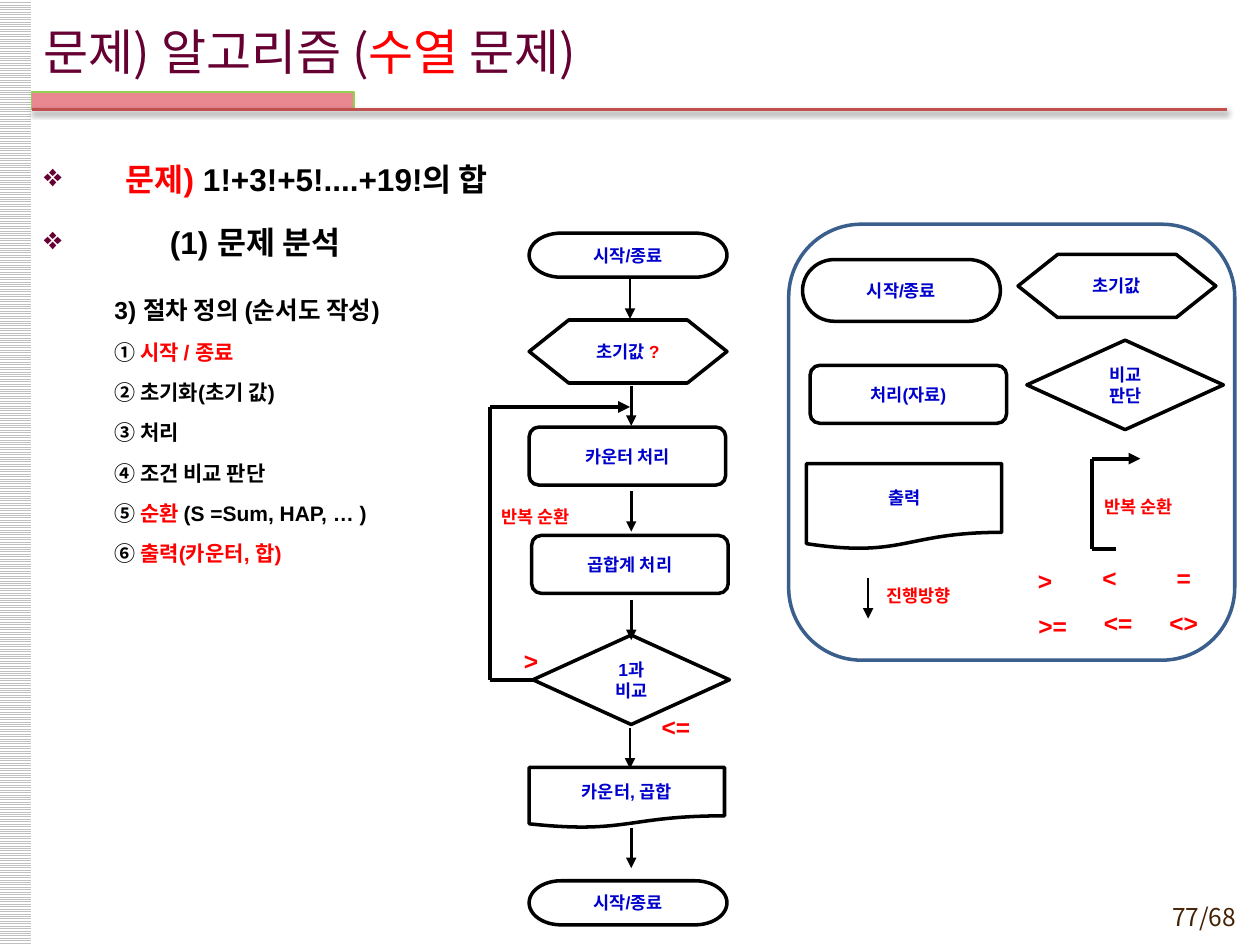
from dataclasses import dataclass
from typing import NamedTuple

from lxml.etree import SubElement
from pptx import Presentation
from pptx.dml.color import RGBColor
from pptx.enum.dml import MSO_PATTERN
from pptx.enum.shapes import MSO_CONNECTOR, MSO_SHAPE as Preset
from pptx.enum.text import MSO_ANCHOR as Anchor, PP_ALIGN as Align
from pptx.oxml.ns import qn
from pptx.util import Inches, Pt


@dataclass(frozen=True)
class Theme:
    latin: str = "Arial"
    korean: str = "Noto Sans CJK KR"
    black: str = "000000"
    white: str = "FFFFFF"
    red: str = "FF0000"
    blue: str = "0000CC"
    plum: str = "660033"
    brown: str = "452103"
    stripe: str = "C0C0C0"
    pink: str = "EA8892"
    green: str = "92D050"
    rule: str = "C0504D"
    panel: str = "3A5F8C"
    title: int = 28
    heading: int = 18
    sign: int = 14
    item: int = 12
    node: int = 10
    outline: float = 2
    arrow: float = 1.5
    loop: float = 2.25


T = Theme()


class Run(NamedTuple):
    text: str
    color: str = T.black


class Para(NamedTuple):
    runs: list[Run]
    size: int
    bullet_indent: float = 0
    before: float = 0


class Node(NamedTuple):
    preset: Preset
    left: float
    top: float
    width: float
    height: float
    lines: list[list[Run]]


class Line(NamedTuple):
    x1: float
    y1: float
    x2: float
    y2: float
    weight: float = T.arrow
    arrow: bool = True


def rgb(color: str) -> RGBColor:
    return RGBColor.from_string(color)


def add_bullet(paragraph, indent: float) -> None:
    props = paragraph._p.get_or_add_pPr()
    props.set("marL", str(Inches(indent)))
    props.set("indent", str(-Inches(indent)))
    SubElement(SubElement(props, qn("a:buClr")), qn("a:srgbClr"), val=T.plum)
    SubElement(props, qn("a:buChar"), char="❖")


def write(frame, paras: list[Para], font: str = T.latin, bold: bool = True,
          anchor=Anchor.TOP, **layout) -> None:
    frame.word_wrap = True
    frame.vertical_anchor = anchor
    for index, para in enumerate(paras):
        paragraph = frame.paragraphs[0] if index == 0 else frame.add_paragraph()
        for key, value in layout.items():
            setattr(paragraph, key, value)
        if para.before:
            paragraph.space_before = Pt(para.before)
        if para.bullet_indent:
            add_bullet(paragraph, para.bullet_indent)
        for part in para.runs:
            run = paragraph.add_run()
            run.text = part.text
            look = {"name": font, "size": Pt(para.size), "bold": bold}
            for key, value in look.items():
                setattr(run.font, key, value)
            run.font.color.rgb = rgb(part.color)
            SubElement(run._r.get_or_add_rPr(), qn("a:ea"), typeface=T.korean)


def add_text(slide, left: float, top: float, width: float, height: float,
             paras: list[Para], **look) -> None:
    box = slide.shapes.add_textbox(*map(Inches, (left, top, width, height)))
    write(box.text_frame, paras, **look)


def add_outline(slide, preset: Preset, left: float, top: float, width: float,
                height: float, color: str, weight: float):
    shape = slide.shapes.add_shape(preset, *map(Inches, (left, top, width, height)))
    shape.shadow.inherit = False
    shape.fill.background()
    shape.line.color.rgb = rgb(color)
    shape.line.width = Pt(weight)
    return shape


def add_node(slide, node: Node) -> None:
    shape = add_outline(slide, *node[:5], T.black, T.outline)
    write(shape.text_frame, [Para(runs, T.node) for runs in node.lines],
          anchor=Anchor.MIDDLE, alignment=Align.CENTER)


def add_line(slide, line: Line, color: str = T.black):
    connector = slide.shapes.add_connector(
        MSO_CONNECTOR.STRAIGHT, *map(Inches, line[:4]))
    connector.line.color.rgb = rgb(color)
    connector.line.width = Pt(line.weight)
    if line.arrow:
        SubElement(connector.line._get_or_add_ln(), qn("a:tailEnd"), type="triangle")
    return SubElement(connector._element.spPr, qn("a:effectLst"))


def add_loop(slide, left: float, top: float, bottom: float,
             top_end: float, bottom_end: float) -> None:
    add_line(slide, Line(left, top, top_end, top, T.loop))
    add_line(slide, Line(left, top, left, bottom, T.loop, False))
    add_line(slide, Line(left, bottom, bottom_end, bottom, T.loop, False))


def add_frame(slide) -> None:
    # Striped left edge
    edge = add_outline(slide, Preset.RECTANGLE, -0.01, 0, 0.26, 7.5, T.white, 0)
    edge.line.fill.background()
    edge.fill.patterned()
    edge.fill.pattern = MSO_PATTERN.LIGHT_HORIZONTAL
    edge.fill.fore_color.rgb = rgb(T.stripe)
    edge.fill.back_color.rgb = rgb(T.white)
    # Title tab and shadowed rule
    tab = add_outline(slide, Preset.RECTANGLE, 0.25, 0.73, 2.56, 0.14, T.green, 0.75)
    tab.fill.solid()
    tab.fill.fore_color.rgb = rgb(T.pink)
    effects = add_line(slide, Line(0.25, 0.87, 9.74, 0.87, T.outline, False), T.rule)
    shadow = SubElement(effects, qn("a:outerShdw"), blurRad=str(Pt(3.1)),
                        dist=str(Pt(1.6)), dir="5400000", rotWithShape="0")
    shade = SubElement(shadow, qn("a:srgbClr"), val=T.black)
    SubElement(shade, qn("a:alpha"), val="38000")
    # Page number
    add_text(slide, 9.08, 7.13, 0.83, 0.29, [Para([Run("77/68", T.brown)], T.sign)],
             font=T.korean, bold=False, anchor=Anchor.MIDDLE, alignment=Align.RIGHT)


def label(text: str) -> list[list[Run]]:
    return [[Run(line, T.blue)] for line in text.split("\n")]


TITLE = [Run("문제) 알고리즘 (", T.plum), Run("수열", T.red), Run(" 문제)", T.plum)]
HEADINGS = [
    Para([Run("문제) ", T.red), Run("1!+3!+5!....+19!의 합")], T.heading, 0.65),
    Para([Run("(1) 문제 분석")], T.heading, 1, 3.6),
]
STEPS = [
    [Run("① "), Run("시작 / 종료", T.red)],
    [Run("② 초기화(초기 값)")],
    [Run("③ 처리")],
    [Run("④ 조건 비교 판단")],
    [Run("⑤ "), Run("순환", T.red), Run(" (S =Sum, HAP, … )")],
    [Run("⑥ "), Run("출력(카운터, 합)", T.red)],
]
FLOW = [
    Node(Preset.FLOWCHART_TERMINATOR, 4.2, 1.85, 1.57, 0.35, label("시작/종료")),
    Node(Preset.FLOWCHART_PREPARATION, 4.2, 2.54, 1.57, 0.5,
         [[Run("초기값 ", T.blue), Run("?", T.red)]]),
    Node(Preset.FLOWCHART_ALTERNATE_PROCESS, 4.2, 3.39, 1.56, 0.46, label("카운터 처리")),
    Node(Preset.FLOWCHART_ALTERNATE_PROCESS, 4.22, 4.25, 1.56, 0.46, label("곱합계 처리")),
    Node(Preset.FLOWCHART_DECISION, 4.23, 5.04, 1.56, 0.71, label("1과\n비교")),
    Node(Preset.FLOWCHART_DOCUMENT, 4.2, 6.09, 1.55, 0.48, label("카운터, 곱합")),
    Node(Preset.FLOWCHART_TERMINATOR, 4.2, 6.99, 1.57, 0.35, label("시작/종료")),
]
LEGEND = [
    Node(Preset.FLOWCHART_TERMINATOR, 6.37, 2.06, 1.57, 0.49, label("시작/종료")),
    Node(Preset.FLOWCHART_PREPARATION, 8.08, 2.02, 1.57, 0.5, label("초기값")),
    Node(Preset.FLOWCHART_ALTERNATE_PROCESS, 6.43, 2.9, 1.56, 0.46, label("처리(자료)")),
    Node(Preset.FLOWCHART_DECISION, 8.15, 2.7, 1.56, 0.71, label("비교\n판단")),
    Node(Preset.FLOWCHART_DOCUMENT, 6.4, 3.68, 1.55, 0.68, label("출력")),
]
ARROWS = [(5, 2.21), (5.01, 3.06), (5.01, 3.9), (5.01, 4.76), (5, 5.78),
          (5.01, 6.57), (6.89, 4.59)]
ARROW_LENGTH = 0.32
SIGNS = [("<", 8.49, 4.42), ("<=", 8.56, 4.78), ("=", 9.08, 4.42), ("<>", 9.08, 4.78),
         (">=", 8.04, 4.8), (">", 7.98, 4.44), (">", 3.9, 5.08), ("<=", 5.05, 5.6)]
CAPTIONS = [("반복 순환", 8.67, 3.89), ("진행방향", 6.94, 4.59), ("반복 순환", 3.88, 3.97)]


def main() -> None:
    deck = Presentation()
    deck.slide_width, deck.slide_height = Inches(10), Inches(7.5)
    slide = deck.slides.add_slide(deck.slide_layouts[6])
    add_frame(slide)

    # Title, headings and list of steps
    add_text(slide, 0.25, 1.07, 8.61, 1, HEADINGS, line_spacing=1.5)
    add_text(slide, 0.25, 0.09, 8.27, 0.63, [Para(TITLE, T.title)],
             font=T.korean, bold=False, anchor=Anchor.MIDDLE)
    procedure = Para([Run("3) 절차 정의 (순서도 작성)")], T.sign)
    add_text(slide, 0.81, 2.15, 2.91, 2.42,
             [procedure] + [Para(step, T.item) for step in STEPS],
             line_spacing=1.6, alignment=Align.JUSTIFY)

    # Flowchart and symbol legend
    for node in FLOW + LEGEND:
        add_node(slide, node)
    for x, y in ARROWS:
        add_line(slide, Line(x, y, x, y + ARROW_LENGTH))
    add_loop(slide, 3.89, 3.23, 5.4, 5, 4.23)
    add_loop(slide, 8.67, 3.64, 4.36, 9.05, 8.86)
    add_outline(slide, Preset.ROUNDED_RECTANGLE, 6.26, 1.78, 3.54, 3.46,
                T.panel, T.outline)

    # Captions and comparison signs
    for text, left, top in CAPTIONS:
        add_text(slide, left, top, 0.9, 0.27, [Para([Run(text, T.red)], T.node)])
    for text, left, top in SIGNS:
        add_text(slide, left, top, 0.63, 0.34, [Para([Run(text, T.red)], T.sign)],
                 alignment=Align.CENTER)
    deck.save("out.pptx")


if __name__ == "__main__":
    main()
